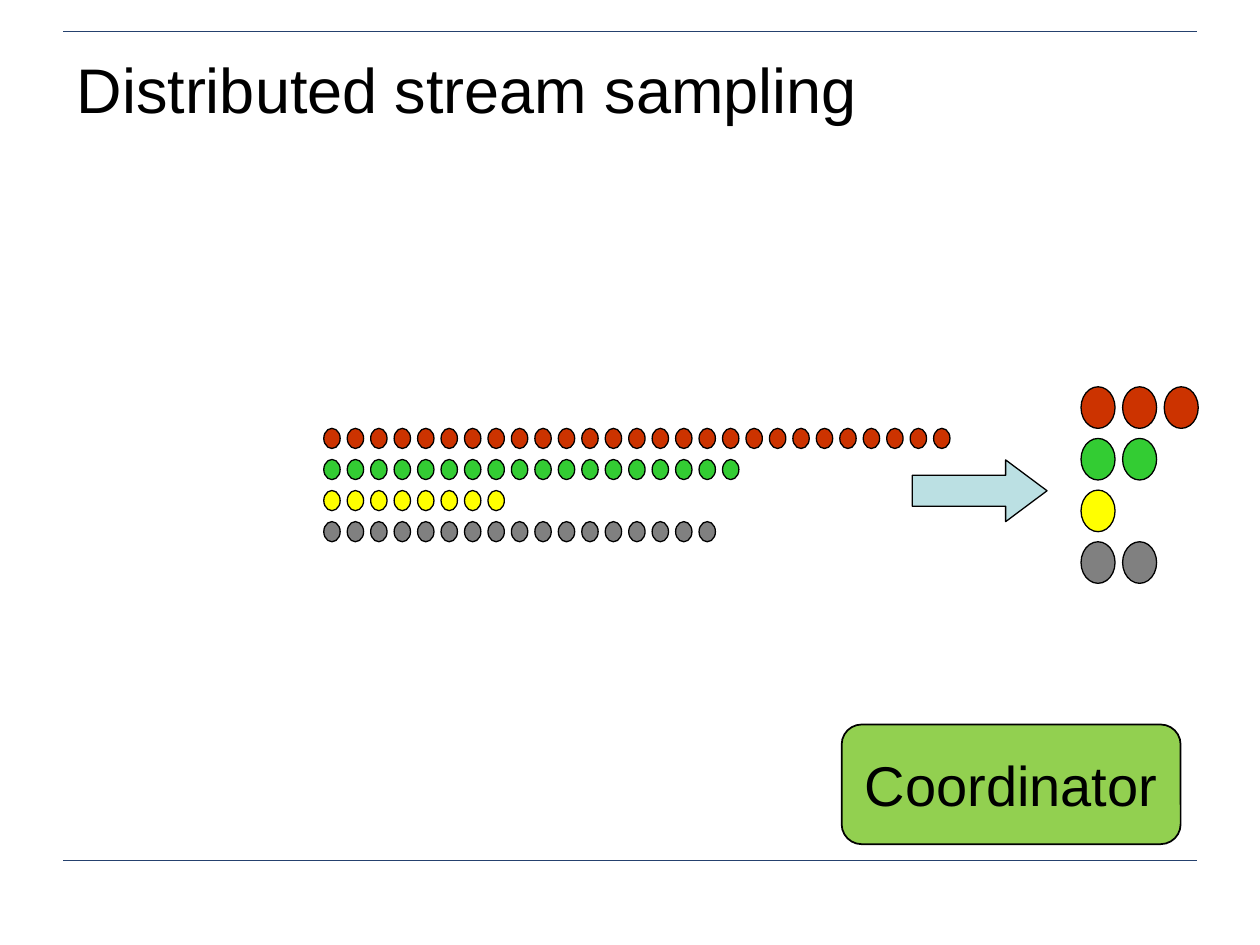
from dataclasses import dataclass

from pptx import Presentation
from pptx.dml.color import RGBColor
from pptx.enum.shapes import MSO_CONNECTOR, MSO_SHAPE
from pptx.enum.text import MSO_ANCHOR, PP_ALIGN
from pptx.oxml.ns import qn
from pptx.util import Inches, Pt

OVAL = MSO_SHAPE.OVAL
ARROW = MSO_SHAPE.RIGHT_ARROW
ROUND = MSO_SHAPE.ROUNDED_RECTANGLE
STRAIGHT = MSO_CONNECTOR.STRAIGHT
MIDDLE, BOTTOM = MSO_ANCHOR.MIDDLE, MSO_ANCHOR.BOTTOM
LEFT, CENTER = PP_ALIGN.LEFT, PP_ALIGN.CENTER


@dataclass(frozen=True)
class Theme:
    """Hold the colours, font and type sizes of the slide."""
    font: str = "Arial"
    title: int = 36
    label: int = 32
    ink: str = "000000"
    rule: str = "25416E"
    arrow: str = "BBE0E3"
    box: str = "92D050"
    streams: tuple = ("CC3300", "33CC33", "FFFF00", "808080")


THEME = Theme()


def color(code):
    """Turn a hex code into a colour."""
    return RGBColor.from_string(code)


def write(shape, text, size, align=LEFT, anchor=MIDDLE):
    """Put one line of formatted text in a shape."""
    frame = shape.text_frame
    frame.word_wrap = True
    frame.vertical_anchor = anchor
    para = frame.paragraphs[0]
    para.alignment = align
    run = para.add_run()
    run.text = text
    run.font.name = THEME.font
    run.font.size = Pt(size)
    run.font.color.rgb = color(THEME.ink)


def add_rule(slide, top):
    """Draw a thin line across the slide."""
    y = Inches(top)
    line = slide.shapes.add_connector(STRAIGHT, Inches(0.5), y, Inches(9.5), y)
    line.line.color.rgb = color(THEME.rule)
    line.line.width = Pt(0.75)
    props = line._element.spPr
    props.append(props.makeelement(qn("a:effectLst"), {}))


def add_form(shapes, kind, left, top, width, height, fill, weight=0.75):
    """Add a filled and outlined preset shape."""
    form = shapes.add_shape(
        kind, Inches(left), Inches(top), Inches(width), Inches(height))
    form.shadow.inherit = False
    form.fill.solid()
    form.fill.fore_color.rgb = color(fill)
    form.line.color.rgb = color(THEME.ink)
    form.line.width = Pt(weight)
    return form


def add_dots(shapes, counts, start, pitch, size):
    """Add one row of dots per stream."""
    left, top = start
    across, down = pitch
    for row, (count, fill) in enumerate(zip(counts, THEME.streams)):
        for col in range(count):
            add_form(shapes, OVAL, left + col * across, top + row * down,
                     *size, fill)


def main():
    """Build the slide and save it."""
    deck = Presentation()
    deck.slide_width, deck.slide_height = Inches(10), Inches(7.5)
    slide = deck.slides.add_slide(deck.slide_layouts[6])
    for top in (6.83, 0.25):
        add_rule(slide, top)

    title = slide.shapes.add_textbox(
        Inches(0.51), Inches(0.37), Inches(9), Inches(0.68))
    write(title, "Distributed stream sampling", THEME.title, anchor=BOTTOM)

    group = slide.shapes.add_group_shape().shapes
    add_dots(group, (27, 18, 8, 17), start=(2.57, 3.4),
             pitch=(4.84 / 26, 0.74 / 3), size=(0.13, 0.16))
    add_dots(group, (3, 2, 1, 2), start=(8.58, 3.07),
             pitch=(0.33, 0.41), size=(0.27, 0.33))
    arrow = add_form(group, ARROW, 7.24, 3.65, 1.07, 0.49, THEME.arrow)
    arrow.adjustments[1] = 0.67

    box = add_form(slide.shapes, ROUND, 6.68, 5.75, 2.69, 0.95,
                   THEME.box, weight=1)
    write(box, "Coordinator", THEME.label, align=CENTER)
    deck.save("out.pptx")


if __name__ == "__main__":
    main()
